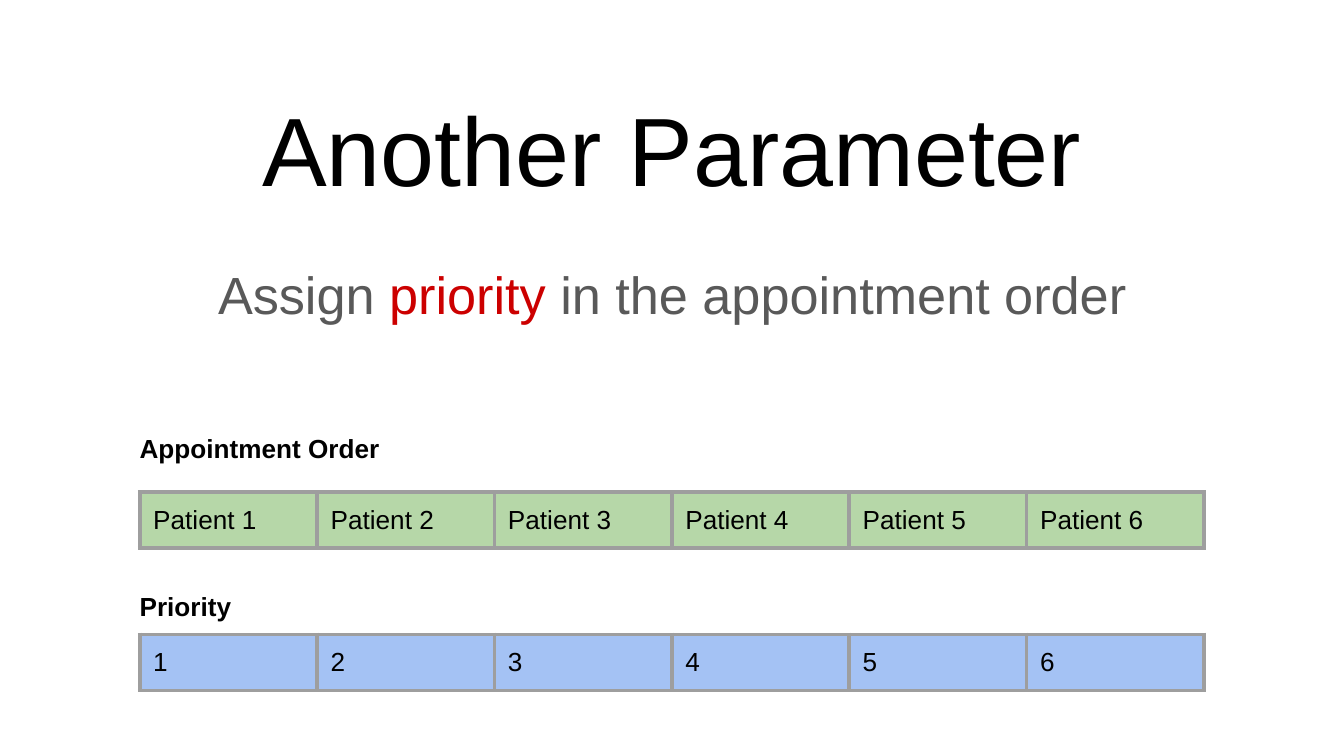
from dataclasses import dataclass

from lxml import etree
from pptx import Presentation
from pptx import util as u
from pptx.dml.color import RGBColor
from pptx.enum import text
from pptx.oxml import ns


@dataclass(frozen=True)
class Theme:
    font: str = "Arial"
    ink: str = "000000"
    muted: str = "595959"
    accent: str = "CC0000"
    border: str = "9E9E9E"
    green: str = "B6D7A8"
    blue: str = "A4C2F4"
    title_size: float = 52
    subtitle_size: float = 28
    body_size: float = 14
    border_width: float = 2.25
    inset: float = 0.1


def add_text(p, content, *, font, size, color, bold=False, align=None):
    """Append one formatted run to the paragraph."""
    if align is not None:
        p.alignment = align
    r = p.add_run()
    r.text = content
    r.font.name = font
    r.font.size = u.Pt(size)
    r.font.bold = bold
    r.font.color.rgb = RGBColor.from_string(color)


def set_borders(cell, color, width):
    tcPr = cell._tc.get_or_add_tcPr()
    for side in ("lnL", "lnR", "lnT", "lnB"):
        ln = etree.SubElement(tcPr, ns.qn(f"a:{side}"), w=str(u.Pt(width)))
        fill = etree.SubElement(ln, ns.qn("a:solidFill"))
        etree.SubElement(fill, ns.qn("a:srgbClr"), val=color)


class SlideBuilder:
    """Holds the theme and the slide being drawn."""

    def __init__(self, s, theme):
        self.s = s
        self.theme = theme

    def set_insets(self, target):
        for side in ("left", "top", "right", "bottom"):
            setattr(target, f"margin_{side}", u.Inches(self.theme.inset))

    def frame(self, sp, anchor):
        tf = sp.text_frame
        tf.word_wrap = True
        tf.auto_size = text.MSO_AUTO_SIZE.NONE
        tf.vertical_anchor = anchor
        self.set_insets(tf)
        return tf.paragraphs[0]

    def title(self, content, x, y, w, h):
        sp = self.s.shapes.title
        sp.left, sp.top, sp.width, sp.height = map(u.Inches, (x, y, w, h))
        p = self.frame(sp, text.MSO_ANCHOR.BOTTOM)
        add_text(p, content, font=self.theme.font, size=self.theme.title_size,
                 color=self.theme.ink, align=text.PP_ALIGN.CENTER)

    def textbox(self, runs, x, y, w, h, **style):
        """Add a one-paragraph box from (text, colour) pairs."""
        sp = self.s.shapes.add_textbox(*map(u.Inches, (x, y, w, h)))
        p = self.frame(sp, text.MSO_ANCHOR.TOP)
        for content, color in runs:
            add_text(p, content, font=self.theme.font, color=color, **style)

    def label(self, content, x, y, w, h):
        self.textbox([(content, self.theme.ink)], x, y, w, h,
                     size=self.theme.body_size, bold=True)

    def row_table(self, values, x, y, col_w, row_h, fill):
        t = self.theme
        table = self.s.shapes.add_table(
            1, len(values), u.Inches(x), u.Inches(y),
            u.Inches(col_w * len(values)), u.Inches(row_h)).table
        table.first_row = table.horz_banding = False
        for column, cell, value in zip(table.columns, table.iter_cells(), values):
            column.width = u.Inches(col_w)
            self.set_insets(cell)
            set_borders(cell, t.border, t.border_width)
            cell.fill.solid()
            cell.fill.fore_color.rgb = RGBColor.from_string(fill)
            add_text(cell.text_frame.paragraphs[0], value, font=t.font,
                     size=t.body_size, color=t.ink)


def main():
    prs = Presentation()
    prs.slide_width = u.Inches(10)
    prs.slide_height = prs.slide_width * 9 // 16
    theme = Theme()
    slide = SlideBuilder(prs.slides.add_slide(prs.slide_layouts[5]), theme)

    slide.title("Another Parameter", 0.34, 0.31, 9.32, 1.32)
    slide.textbox(
        [("Assign ", theme.muted), ("priority", theme.accent),
         (" in the appointment order", theme.muted)],
        0.34, 1.85, 9.32, 0.87,
        size=theme.subtitle_size, align=text.PP_ALIGN.CENTER)

    numbers = range(1, 7)
    rows = [
        ("Appointment Order", 3.12, 2.74, 3.66, "Patient {}", theme.green),
        ("Priority", 4.29, 1.98, 4.72, "{}", theme.blue),
    ]
    for heading, label_y, label_w, table_y, pattern, fill in rows:
        slide.row_table([pattern.format(n) for n in numbers],
                        1.04, table_y, 1.32, 0.4, fill)
        slide.label(heading, 0.94, label_y, label_w, 0.44)

    prs.save("out.pptx")


if __name__ == "__main__":
    main()
